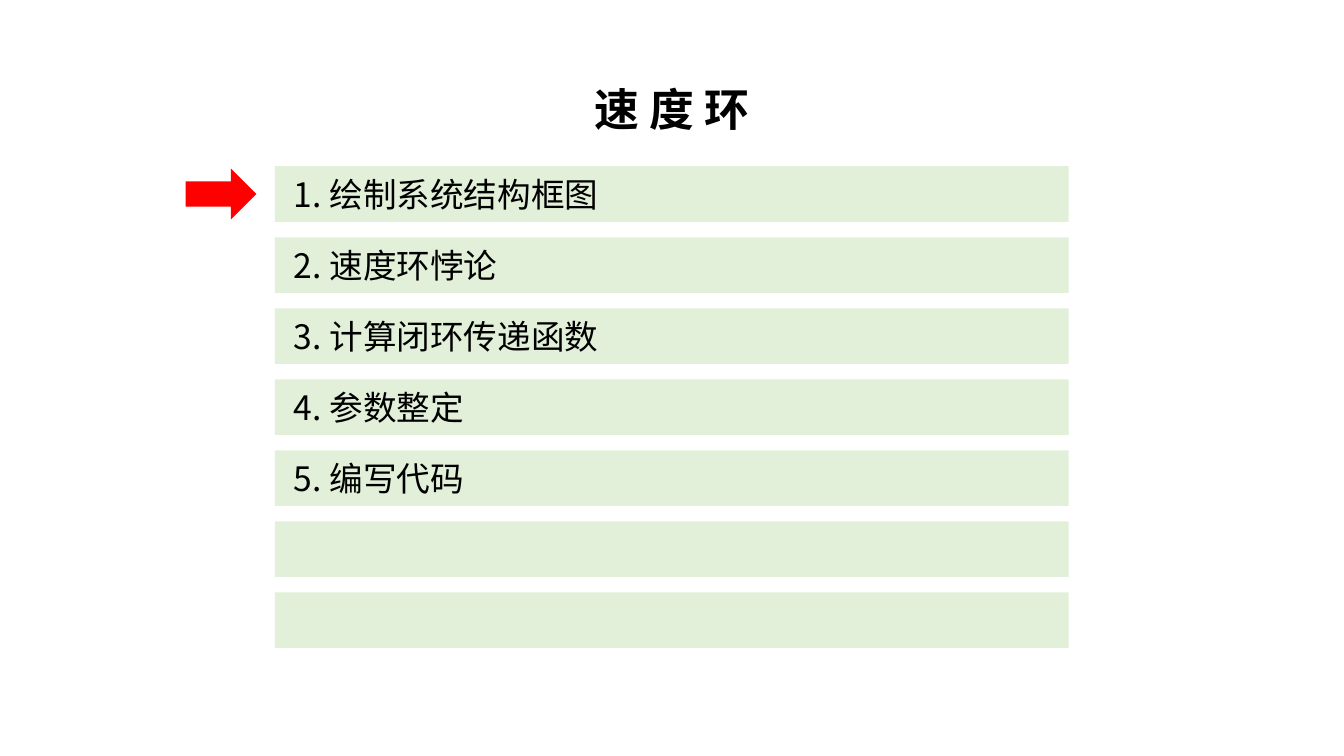
"""Build the speed loop agenda slide with an arrow at the current step."""
from dataclasses import dataclass

from lxml import etree
from pptx import Presentation
from pptx import util as u
from pptx.dml.color import RGBColor
from pptx.enum import shapes, text
from pptx.oxml.ns import qn

COLORS = {"band": "E2F0D9", "arrow": "FF0000", "ink": "000000"}
FONT = "Noto Sans CJK SC"
STEPS = ["绘制系统结构框图", "速度环悖论", "计算闭环传递函数", "参数整定", "编写代码"]
BAND_COUNT = 7
BAND_LEFT, BAND_TOP, BAND_WIDTH, BAND_HEIGHT = 6.93, 4.19, 20.0, 1.4
BAND_PITCH = 1.79
CURRENT_STEP = 0


@dataclass(frozen=True)
class Box:
    left: float
    top: float
    width: float
    height: float

    def lengths(self) -> tuple[u.Length, ...]:
        return tuple(u.Cm(n) for n in (self.left, self.top, self.width, self.height))


@dataclass(frozen=True)
class Label:
    wording: str
    box: Box
    size: int
    bold: bool = False
    align: text.PP_ALIGN = text.PP_ALIGN.LEFT


def draw_block(parent, kind: shapes.MSO_SHAPE, box: Box, color: str) -> None:
    block = parent.add_shape(kind, *box.lengths())
    block.shadow.inherit = False
    block.fill.solid()
    block.fill.fore_color.rgb = RGBColor.from_string(COLORS[color])
    block.line.fill.background()


def draw_label(parent, label: Label) -> None:
    frame = parent.add_textbox(*label.box.lengths()).text_frame
    frame.word_wrap = False
    frame.auto_size = text.MSO_AUTO_SIZE.SHAPE_TO_FIT_TEXT
    frame.text = label.wording
    line = frame.paragraphs[0]
    line.alignment = label.align
    run = line.runs[0]
    run.font.name = FONT
    run.font.size = u.Pt(label.size)
    run.font.bold = label.bold
    run.font.color.rgb = RGBColor.from_string(COLORS["ink"])
    etree.SubElement(run.font._element, qn("a:ea"), typeface=FONT)


def draw_step(parent, index: int) -> None:
    top = BAND_TOP + index * BAND_PITCH
    band = Box(BAND_LEFT, top, BAND_WIDTH, BAND_HEIGHT)
    if index >= len(STEPS):
        draw_block(parent, shapes.MSO_SHAPE.RECTANGLE, band, "band")
        return
    step = parent.add_group_shape().shapes
    draw_block(step, shapes.MSO_SHAPE.RECTANGLE, band, "band")
    caption = STEPS[index]
    caption_box = Box(7.16, top + 0.06, 1.79 + 0.86 * len(caption), 1.28)
    draw_label(step, Label(f"{index + 1}. {caption}", caption_box, 24))


def main() -> None:
    deck = Presentation()
    deck.slide_width, deck.slide_height = u.Cm(33.87), u.Cm(19.05)
    agenda = deck.slides.add_slide(deck.slide_layouts[6]).shapes
    draw_label(agenda, Label("速 度 环", Box(14.38, 1.93, 5.1, 1.62), 32, True,
                             text.PP_ALIGN.CENTER))
    for index in range(BAND_COUNT):
        draw_step(agenda, index)
    arrow = Box(4.68, BAND_TOP + CURRENT_STEP * BAND_PITCH + 0.06, 1.78, 1.28)
    draw_block(agenda, shapes.MSO_SHAPE.RIGHT_ARROW, arrow, "arrow")
    deck.save("out.pptx")


if __name__ == "__main__":
    main()
